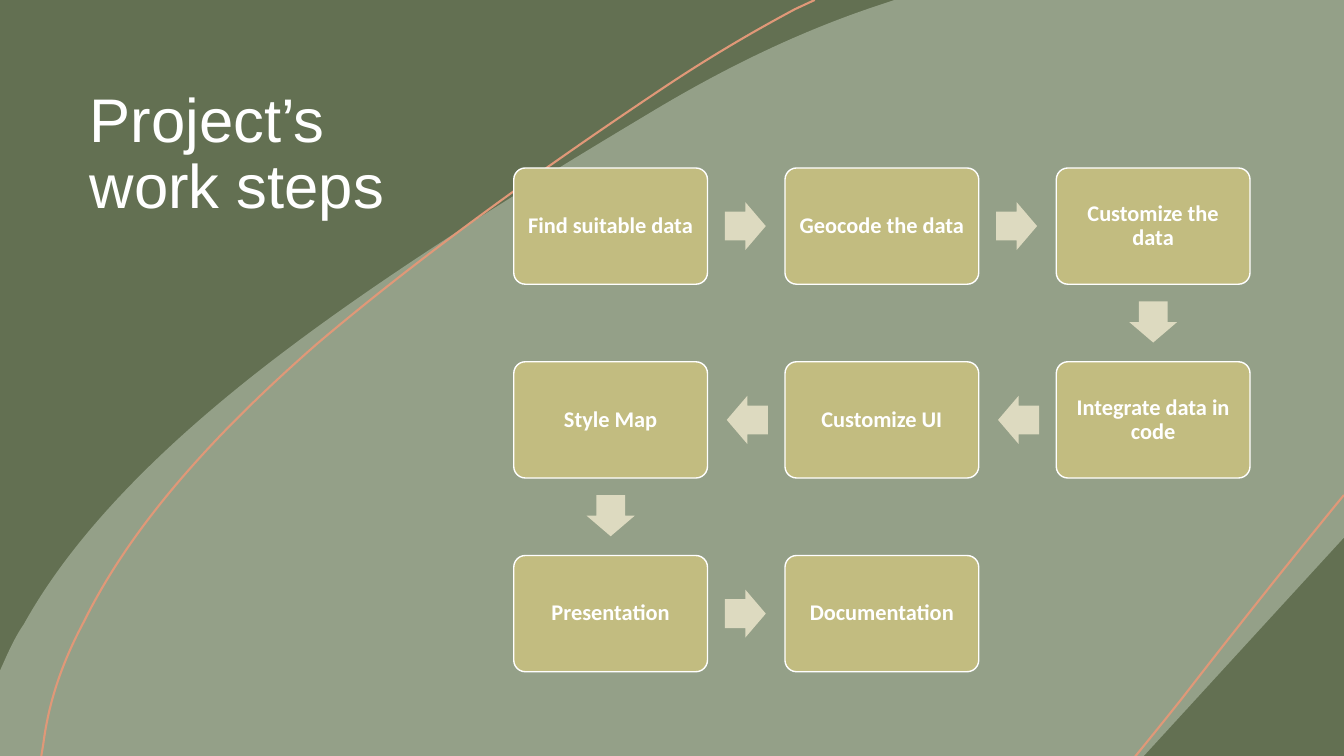
from itertools import pairwise
from math import atan2, cos, degrees, sin

from pptx import Presentation
from pptx.dml.color import RGBColor
from pptx.enum.shapes import MSO_SHAPE as Kind
from pptx.enum.text import MSO_ANCHOR as Anchor, PP_ALIGN as Align
from pptx.oxml import parse_xml
from pptx.oxml.ns import nsdecls, qn
from pptx.util import Pt

STEPS = [
    "Find suitable data", "Geocode the data", "Customize the data",
    "Integrate data in code", "Customize UI", "Style Map",
    "Presentation", "Documentation",
]
COLS = 3
LEFT, TOP = 367, 120
BOX_W = 138.4
BOX_H = 0.6 * BOX_W
GAP = 0.4 * BOX_W

# Outlines: two numbers are a point, six are a cubic curve.
WAVE = [
    (639, 0), (960, 0), (960, 384), (817, 540), (0, 540), (0, 479.5),
    (0, 479), (5, 468, 10, 456, 17, 446), (53, 381, 116, 318, 194, 258),
    (272, 198, 365, 140, 462, 82), (523, 45, 578, 20, 630, 3),
]
ARC = [
    (29.5, 540), (31, 531), (35, 500, 45, 472, 60, 444),
    (94, 375, 153, 310, 226, 246), (299, 184, 385, 122, 475, 62),
    (508, 40, 539, 22, 568, 6.5), (582, 0),
]
CORNER = [
    (960, 353.5), (960, 353.6), (922, 400, 883, 449, 845, 498),
    (834, 512, 809.5, 542, 809.5, 542),
]


def paint(shape, fill=None, line=None, width=1):
    shape.shadow.inherit = False
    if fill:
        shape.fill.solid()
        shape.fill.fore_color.rgb = RGBColor.from_string(fill)
    else:
        shape.fill.background()
    if line:
        shape.line.color.rgb = RGBColor.from_string(line)
        shape.line.width = Pt(width)
    else:
        shape.line.fill.background()


def bend(shape, parts):
    """Merge each curve's three straight segments into one cubic curve."""
    legs = iter(list(shape.element.iter(qn("a:lnTo"))))
    for part in parts:
        leg = next(legs)
        if len(part) == 6:
            curve = parse_xml(f"<a:cubicBezTo {nsdecls('a')}/>")
            leg.addprevious(curve)
            for old in (leg, next(legs), next(legs)):
                curve.append(old[0])
                old.getparent().remove(old)


def add_path(slide, parts, close=False, **look):
    dots = [(Pt(part[i]), Pt(part[i + 1]))
            for part in parts for i in range(0, len(part), 2)]
    pen = slide.shapes.build_freeform(*dots[0])
    pen.add_line_segments(dots[1:], close=close)
    shape = pen.convert_to_shape()
    bend(shape, parts[1:])
    paint(shape, **look)


def write(frame, text, size, font, bold=False, align=Align.LEFT):
    frame.word_wrap = True
    para = frame.paragraphs[0]
    para.text = text
    para.alignment = align
    para.line_spacing = 0.9
    for run in para.runs:
        run.font.size = Pt(size)
        run.font.name = font
        run.font.bold = bold
        run.font.color.rgb = RGBColor.from_string("FFFFFF")


def add_title(slide, text):
    box = slide.shapes.add_textbox(Pt(57), Pt(60), Pt(240), Pt(180))
    write(box.text_frame, text, 44, "Arial")


def center(index):
    """Middle of a step's box; every other row runs right to left."""
    row, col = divmod(index, COLS)
    if row % 2:
        col = COLS - 1 - col
    return (LEFT + BOX_W / 2 + col * (BOX_W + GAP),
            TOP + BOX_H / 2 + row * (BOX_H + GAP))


def add_part(slide, kind, mid, wide, high):
    """Add a preset shape around its middle point."""
    x, y = mid
    return slide.shapes.add_shape(
        kind, Pt(x - wide / 2), Pt(y - high / 2), Pt(wide), Pt(high))


def add_step(slide, text, mid):
    box = add_part(slide, Kind.ROUNDED_RECTANGLE, mid, BOX_W, BOX_H)
    box.adjustments[0] = 0.1
    paint(box, fill="C2BC80", line="FFFFFF")
    frame = box.text_frame
    frame.margin_left = frame.margin_right = Pt(5)
    frame.margin_top = frame.margin_bottom = Pt(5)
    frame.vertical_anchor = Anchor.MIDDLE
    write(frame, text, 16, "Calibri", True, Align.CENTER)


def add_arrow(slide, start, end, back=0.7):
    """Point from one step to the next, set slightly back from halfway."""
    turn = atan2(end[1] - start[1], end[0] - start[0])
    mid = ((start[0] + end[0]) / 2 - back * cos(turn),
           (start[1] + end[1]) / 2 - back * sin(turn))
    arrow = add_part(slide, Kind.RIGHT_ARROW, mid, 29.3, 34.3)
    arrow.adjustments[0] = 0.6
    arrow.adjustments[1] = 0.5
    arrow.rotation = degrees(turn)
    paint(arrow, fill="DDDAC0")


def main():
    deck = Presentation()
    deck.slide_width, deck.slide_height = Pt(960), Pt(540)
    slide = deck.slides.add_slide(deck.slide_layouts[6])
    back = slide.background.fill
    back.solid()
    back.fore_color.rgb = RGBColor.from_string("637052")

    add_path(slide, WAVE, close=True, fill="94A088")
    add_path(slide, ARC, line="E09878", width=1.5)
    add_title(slide, "Project’s \vwork steps")
    add_path(slide, CORNER, line="E09878", width=1.5)

    mids = [center(i) for i in range(len(STEPS))]
    for text, mid in zip(STEPS, mids):
        add_step(slide, text, mid)
    for start, end in pairwise(mids):
        add_arrow(slide, start, end)
    deck.save("out.pptx")


if __name__ == "__main__":
    main()
